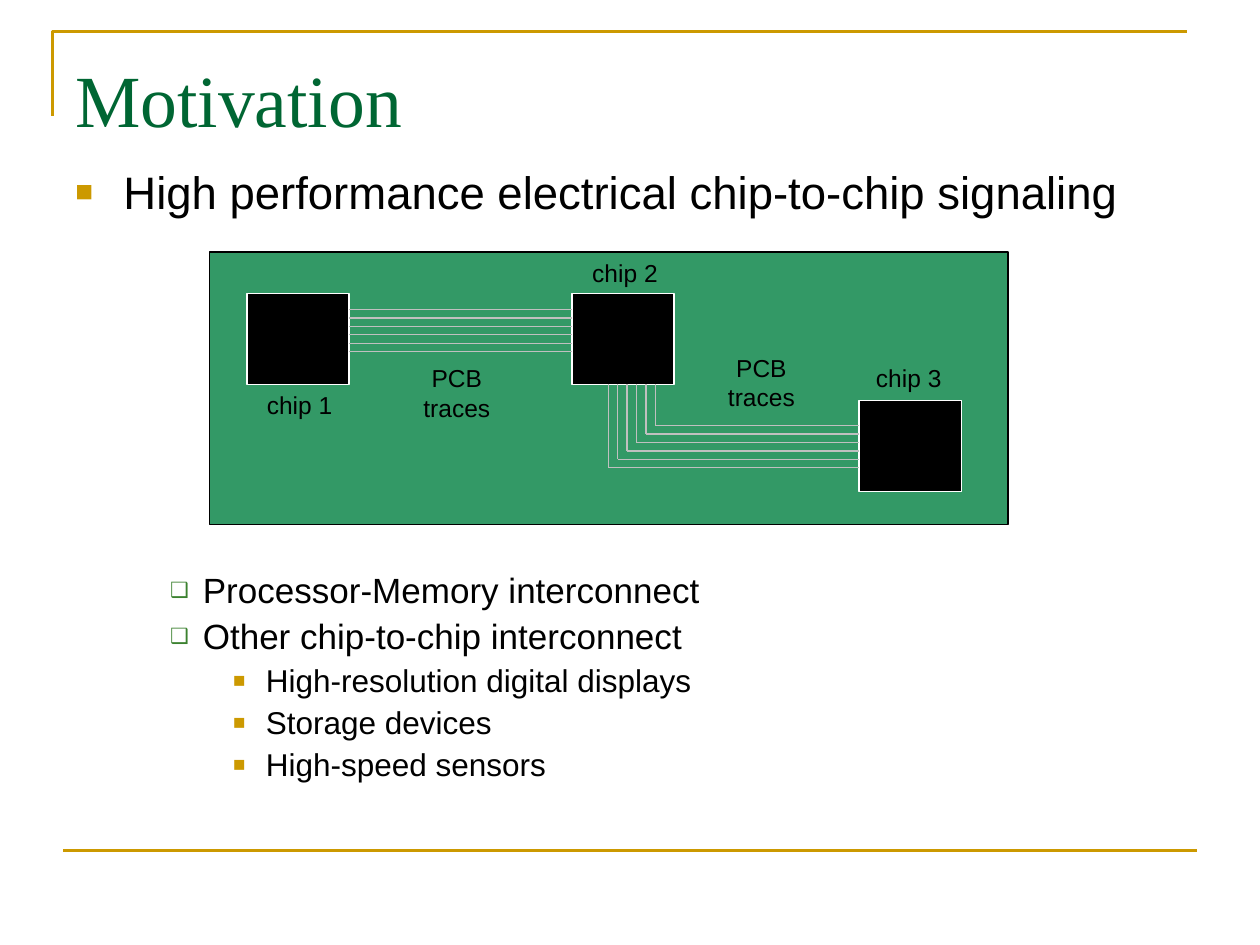
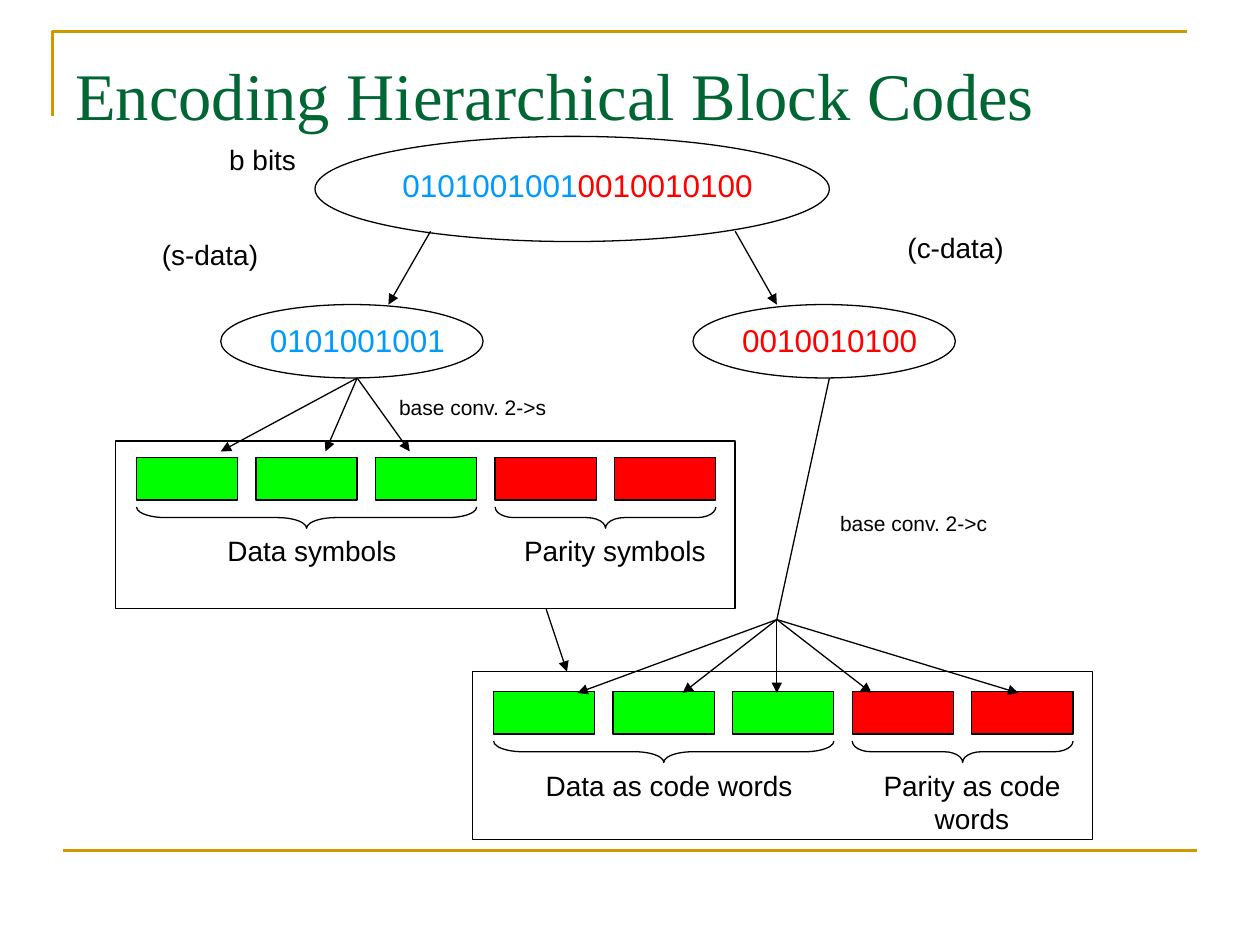
"""Build two slides on chip-to-chip signaling and hierarchical block codes."""
from lxml.etree import SubElement
from pptx import Presentation
from pptx.dml.color import RGBColor
from pptx.enum.shapes import MSO_CONNECTOR, MSO_SHAPE as Preset
from pptx.enum.text import MSO_ANCHOR, PP_ALIGN as Align
from pptx.oxml.ns import qn
from pptx.util import Cm, Pt

COLORS = {
    "gold": "CC9900", "title": "006633", "black": "000000", "white": "FFFFFF",
    "board": "339966", "trace": "C0C0C0", "box bullet": "3B812F",
    "s bits": "0099FF", "c bits": "FF0000", "data": "00FF00", "parity": "FF0000",
}
BULLETS = {
    0: dict(size=26, indent=0.97, hang=0.97, before=6.5, spacing=1.0,
            mark="■", color="gold", percent=65),
    1: dict(size=20, indent=1.93, hang=0.66, before=5, spacing=0.9,
            mark="❑", color="box bullet", percent=60),
    2: dict(size=18, indent=3.2, hang=0.66, before=4.5, spacing=0.9,
            mark="■", color="gold", percent=65),
}


def rgb(name):
    """Return the named colour."""
    return RGBColor.from_string(COLORS[name])


class Deck:
    """Hold the style and the current slide."""

    def __init__(self):
        """Start an empty 4:3 presentation."""
        self.show = Presentation()
        self.show.slide_width, self.show.slide_height = Cm(25.4), Cm(19.05)
        self.slide = None

    def new_slide(self, title, size):
        """Add a slide with its gold rules and its title."""
        self.slide = self.show.slides.add_slide(self.show.slide_layouts[6])
        corner = self.slide.shapes.build_freeform(Cm(1.06), Cm(2.33))
        corner.add_line_segments([(Cm(1.06), Cm(0.64)), (Cm(23.92), Cm(0.64))], close=False)
        self.paint(corner.convert_to_shape(), None, "gold", 1.5)
        self.line((1.27, 17.15), (24.13, 17.15), "gold", 1.5)
        heading = self.text(1.27, 0.76, 22.86, 1.78, title, size, "title",
                            "Times New Roman", Align.LEFT)
        heading.margin_top = Cm(0.32)

    def paint(self, shape, fill, line, width=0.75):
        """Set fill and outline and remove the shadow."""
        shape.shadow.inherit = False
        if fill:
            shape.fill.solid()
            shape.fill.fore_color.rgb = rgb(fill)
        else:
            shape.fill.background()
        shape.line.color.rgb = rgb(line)
        shape.line.width = Pt(width)

    def shape(self, preset, left, top, width, height, fill=None, line="black"):
        """Add a preset shape."""
        shape = self.slide.shapes.add_shape(preset, Cm(left), Cm(top), Cm(width), Cm(height))
        self.paint(shape, fill, line)
        return shape

    def line(self, start, end, color="black", width=0.75, arrow=False):
        """Add a straight line, with an arrowhead at its end if asked."""
        points = [Cm(value) for value in (*start, *end)]
        connector = self.slide.shapes.add_connector(MSO_CONNECTOR.STRAIGHT, *points)
        connector.line.color.rgb = rgb(color)
        connector.line.width = Pt(width)
        properties = connector.element.spPr
        if arrow:
            SubElement(properties.find(qn("a:ln")), qn("a:tailEnd"), type="triangle")
        SubElement(properties, qn("a:effectLst"))

    def font(self, run, size, color="black", face="Arial"):
        """Format one run."""
        run.font.size, run.font.name = Pt(size), face
        run.font.color.rgb = rgb(color)

    def text(self, left, top, width, height, words, size, color="black",
             face="Arial", align=Align.CENTER):
        """Add a wrapped text box and return its frame."""
        box = self.slide.shapes.add_textbox(Cm(left), Cm(top), Cm(width), Cm(height))
        frame = box.text_frame
        frame.word_wrap, frame.vertical_anchor = True, MSO_ANCHOR.TOP
        frame.text = words
        for paragraph in frame.paragraphs:
            paragraph.alignment = align
            for run in paragraph.runs:
                self.font(run, size, color, face)
        return frame

    def bullets(self, left, top, width, height, items):
        """Add a bulleted list of (level, words) items."""
        words = "\n".join(item for _, item in items)
        frame = self.text(left, top, width, height, words, 18, align=Align.LEFT)
        for paragraph, (level, _) in zip(frame.paragraphs, items):
            style = BULLETS[level]
            paragraph.level = level
            paragraph.line_spacing = style["spacing"]
            paragraph.space_before = Pt(style["before"])
            self.font(paragraph.runs[0], style["size"])
            properties = paragraph._p.get_or_add_pPr()
            properties.set("marL", str(Cm(style["indent"])))
            properties.set("indent", str(-Cm(style["hang"])))
            tint = SubElement(properties, qn("a:buClr"))
            SubElement(tint, qn("a:srgbClr"), val=COLORS[style["color"]])
            SubElement(properties, qn("a:buSzPct"), val=str(style["percent"] * 1000))
            SubElement(properties, qn("a:buFont"), typeface="Arial")
            SubElement(properties, qn("a:buChar"), char=style["mark"])

    def brace(self, left, top, span, depth=0.43):
        """Add a brace that opens upwards over the given span."""
        brace = self.shape(Preset.RIGHT_BRACE, left + (span - depth) / 2,
                           top + (depth - span) / 2, depth, span)
        brace.rotation = 90
        brace.adjustments[0] = 0.085 * span / depth

    def block(self, left, top, cells_top, data_label, parity_label, label_height):
        """Add a framed block of three data cells and two parity cells."""
        pitch, cell = 2.41, 2.04
        first = left + 0.42
        parity = first + 3 * pitch
        self.shape(Preset.RECTANGLE, left, top, 12.49, 3.38)
        for index, kind in enumerate(["data"] * 3 + ["parity"] * 2):
            self.shape(Preset.RECTANGLE, first + index * pitch, cells_top, cell, 0.86, kind)
        self.brace(first, cells_top + 1, 2 * pitch + cell)
        self.brace(parity, cells_top + 1, pitch + cell)
        self.text(first + 0.2, cells_top + 1.42, 6.68, 0.94, data_label, 16)
        self.text(parity, cells_top + 1.42, 4.83, label_height, parity_label, 16)


def motivation(deck):
    """Build the slide with the circuit board."""
    deck.new_slide("Motivation", 42)
    deck.bullets(1.27, 3.18, 22.86, 8.89,
                 [(0, "High performance electrical chip-to-chip signaling")])
    deck.bullets(1.91, 11.43, 20.52, 4.5, [
        (1, "Processor-Memory interconnect"),
        (1, "Other chip-to-chip interconnect"),
        (2, "High-resolution digital displays"),
        (2, "Storage devices"),
        (2, "High-speed sensors"),
    ])
    deck.shape(Preset.RECTANGLE, 4.23, 5.08, 16.09, 5.5, "board")
    for left, top in ((4.98, 5.92), (11.53, 5.92), (17.32, 8.08)):
        deck.shape(Preset.RECTANGLE, left, top, 2.06, 1.83, "black", "white")
    for index in range(6):
        direct = 6.24 + 0.17 * index
        bend_x, bend_y = 13.21 - 0.19 * index, 8.58 + 0.17 * index
        deck.line((7.04, direct), (11.53, direct), "trace")
        deck.line((bend_x, 7.75), (bend_x, bend_y), "trace")
        deck.line((bend_x, bend_y), (17.32, bend_y), "trace")
    for words, left, top, height in (
        ("chip 1", 4.87, 7.73, 0.85),
        ("chip 2", 11.43, 5.08, 0.85),
        ("chip 3", 17.15, 7.2, 0.85),
        ("PCB traces", 8.04, 7.2, 1.45),
        ("PCB traces", 14.18, 6.99, 1.45),
    ):
        deck.text(left, top, 2.34, height, words, 14)


def encoding(deck):
    """Build the slide with the tree of encoding steps."""
    deck.new_slide("Encoding Hierarchical Block Codes", 38)
    s_bits, c_bits = "0101001001", "0010010100"
    deck.shape(Preset.OVAL, 6.35, 2.75, 10.37, 2.12)
    all_bits = deck.text(7.41, 3.22, 8.47, 1.02, s_bits, 18, "s bits")
    c_run = all_bits.paragraphs[0].add_run()
    c_run.text = c_bits
    deck.font(c_run, 18, "c bits")
    for left, bits, color in ((4.45, s_bits, "s bits"), (13.97, c_bits, "c bits")):
        deck.shape(Preset.OVAL, left, 6.14, 5.29, 1.48)
        deck.text(left - 1.48, 6.35, 8.47, 1.02, bits, 18, color)

    deck.block(2.33, 8.89, 9.22, "Data symbols", "Parity symbols", 0.94)
    deck.block(9.53, 13.54, 13.94, "Data as code words", "Parity as code words", 1.63)

    for words, left, top, width, size in (
        ("b bits", 3.81, 2.75, 2.97, 16),
        ("(s-data)", 2.54, 4.66, 3.39, 16),
        ("(c-data)", 17.57, 4.52, 3.39, 16),
        ("base conv. 2->s", 6.99, 7.83, 5.08, 12),
        ("base conv. 2->c", 15.88, 10.16, 5.08, 12),
    ):
        deck.text(left, top, width, 0.9, words, size)

    s_source, c_split = (7.2, 7.62), (15.66, 12.49)
    deck.line((16.72, 7.62), c_split)
    arrows = [((8.68, 4.66), (7.83, 6.14)), ((14.82, 4.66), (15.66, 6.14)),
              ((11.01, 12.28), (11.43, 13.54))]
    arrows += [(s_source, (x, 9.1)) for x in (4.45, 6.56, 8.26)]
    arrows += [(c_split, (x, 13.97)) for x in (11.64, 13.76, 15.66, 17.57, 20.53)]
    for start, end in arrows:
        deck.line(start, end, arrow=True)


def main():
    """Build and save the presentation."""
    deck = Deck()
    motivation(deck)
    encoding(deck)
    deck.show.save("out.pptx")


if __name__ == "__main__":
    main()
